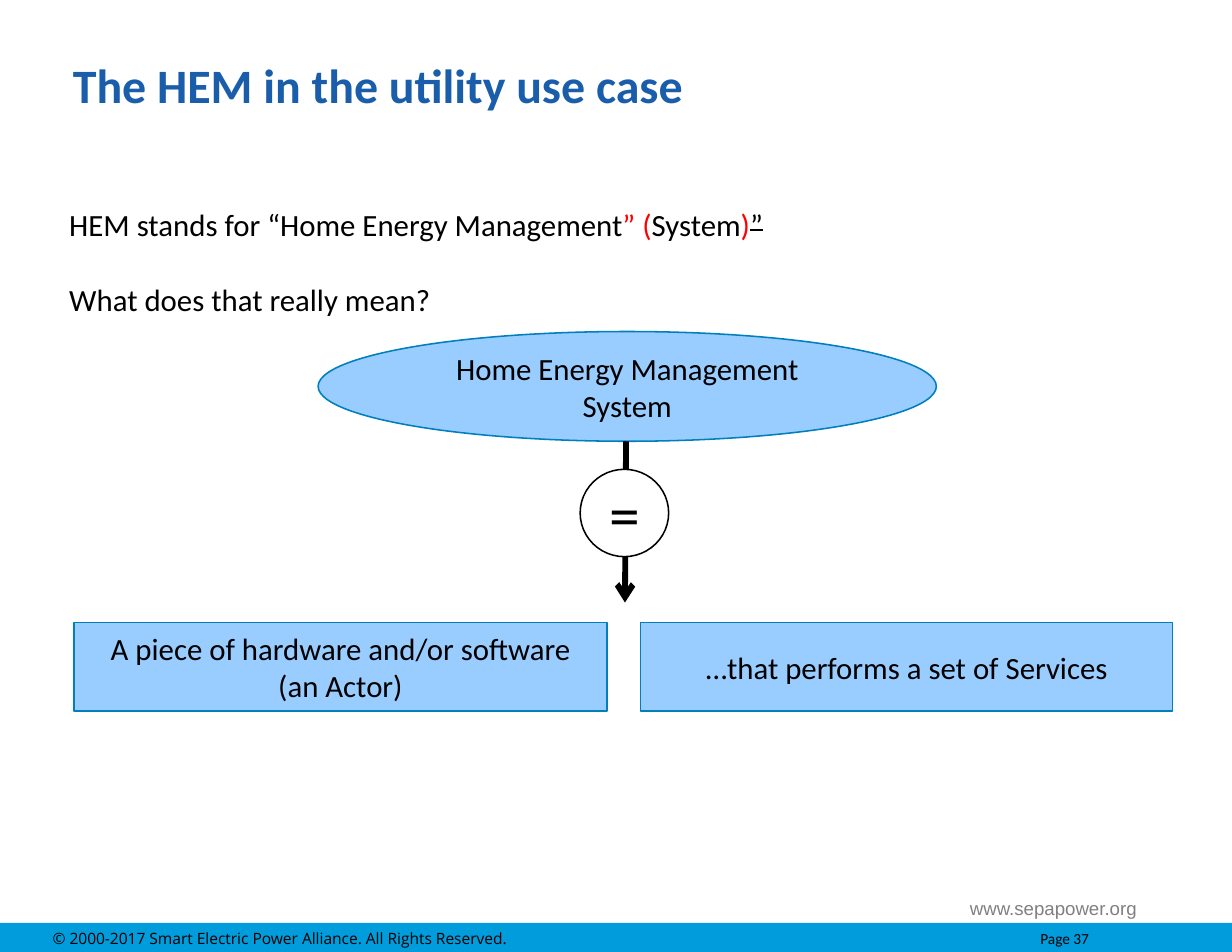
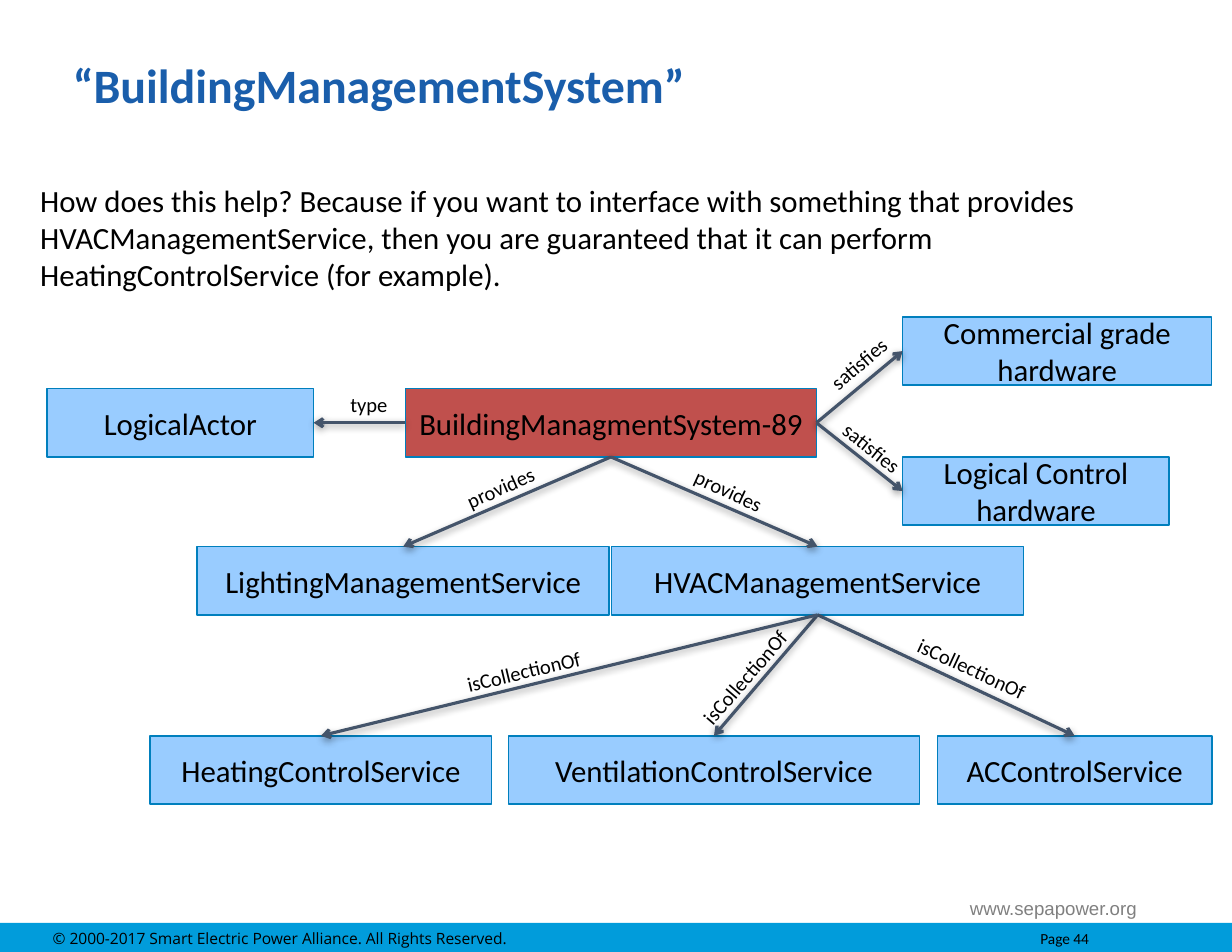
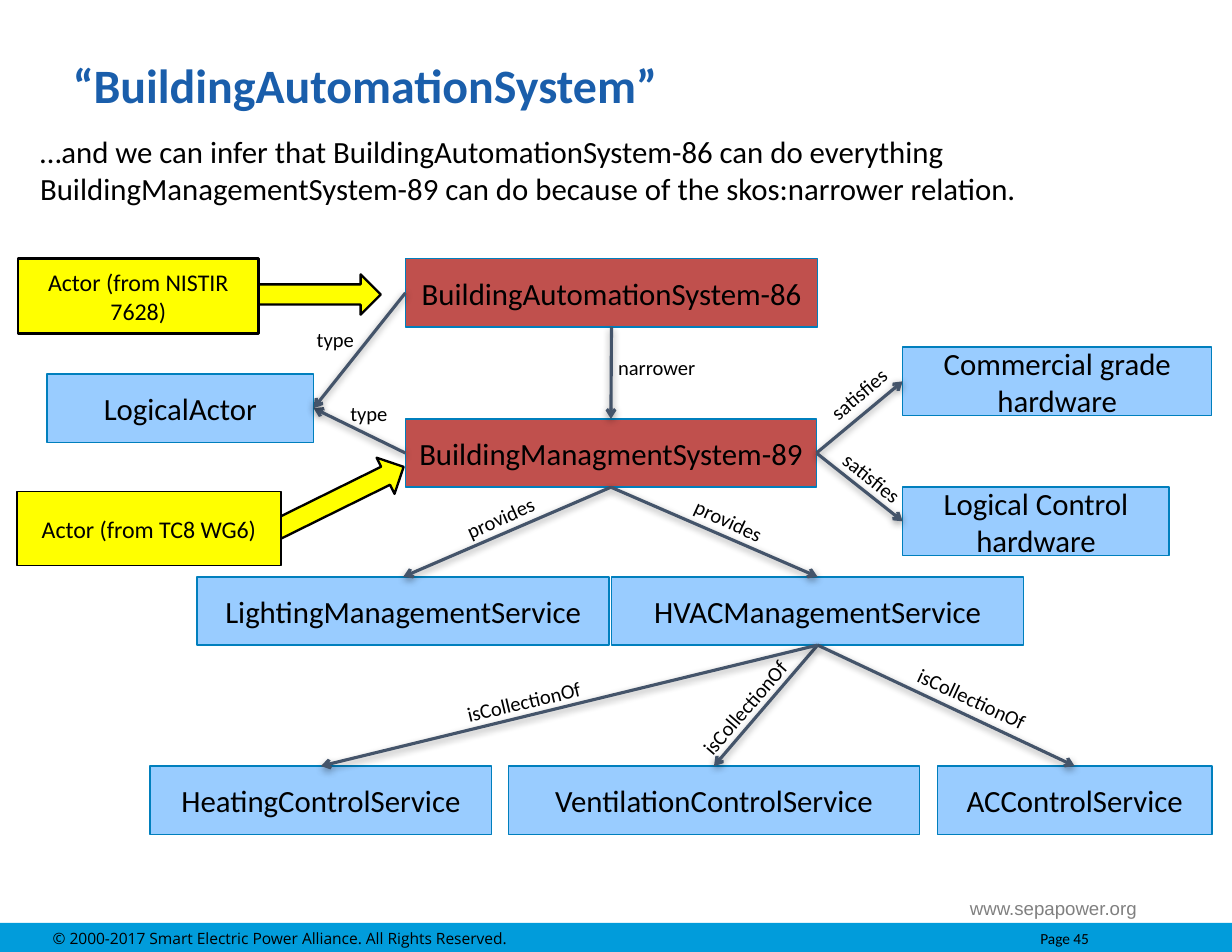
from lxml import etree
from pptx import Presentation
from pptx.dml.color import RGBColor
from pptx.enum.shapes import MSO_CONNECTOR, MSO_SHAPE
from pptx.enum.text import MSO_ANCHOR, MSO_AUTO_SIZE, PP_ALIGN
from pptx.oxml.ns import qn
from pptx.util import Inches, Pt

RECT, OVAL, BLOCK_ARROW = MSO_SHAPE.RECTANGLE, MSO_SHAPE.OVAL, MSO_SHAPE.RIGHT_ARROW
STRAIGHT = MSO_CONNECTOR.STRAIGHT
LEFT, CENTER, RIGHT = PP_ALIGN.LEFT, PP_ALIGN.CENTER, PP_ALIGN.RIGHT
TOP, MIDDLE = MSO_ANCHOR.TOP, MSO_ANCHOR.MIDDLE
NO_AUTOFIT = MSO_AUTO_SIZE.NONE
TOP_SIDE, LEFT_SIDE, BOTTOM_SIDE, RIGHT_SIDE = range(4)

COLORS = {
    "title": "1A5EAB", "text": "000000", "accent": "FF0000", "band": "019CDB",
    "site": "808080", "node": "99CCFF", "system": "C0504D", "outline": "007FBD",
    "relation": "44546A", "callout": "FFFF00", "white": "FFFFFF",
}
BODY_SIZE = 19.8
NODE_HEIGHT = 0.61
COPYRIGHT = "© 2000-2017 Smart Electric Power Alliance. All Rights Reserved."

SYSTEM = "BuildingManagmentSystem-89"
AUTOMATION = "BuildingAutomationSystem-86"
ACTOR = "LogicalActor"
COMMERCIAL = "Commercial grade hardware"
CONTROL = "Logical Control hardware"
LIGHTING = "LightingManagementService"
HVAC = "HVACManagementService"
HEATING = "HeatingControlService"
VENTILATION = "VentilationControlService"
COOLING = "ACControlService"

# name: left, offset below the top of the system node, width
NODES = {
    SYSTEM: (3.62, 0, 3.67),
    COMMERCIAL: (8.06, -0.64, 2.76),
    CONTROL: (8.06, 0.61, 2.38),
    LIGHTING: (1.76, 1.41, 3.68),
    HVAC: (5.46, 1.41, 3.68),
    HEATING: (1.34, 3.1, 3.05),
    VENTILATION: (4.54, 3.1, 3.67),
    COOLING: (8.37, 3.1, 2.45),
}
# subject, side, object, side, label, label left, label offset, label angle
RELATIONS = [
    (SYSTEM, RIGHT_SIDE, COMMERCIAL, LEFT_SIDE, "satisfies", 7.27, -0.39, 319.4),
    (SYSTEM, RIGHT_SIDE, CONTROL, LEFT_SIDE, "satisfies", 7.39, 0.37, 38.9),
    (SYSTEM, BOTTOM_SIDE, LIGHTING, TOP_SIDE, "provides", 4.05, 0.72, 336.1),
    (SYSTEM, BOTTOM_SIDE, HVAC, TOP_SIDE, "provides", 6.09, 0.75, 24.9),
    (HVAC, BOTTOM_SIDE, COOLING, TOP_SIDE, "isCollectionOf", 8.06, 2.34, 24.9),
    (HVAC, BOTTOM_SIDE, VENTILATION, TOP_SIDE, "isCollectionOf", 6.03, 2.41, 310.9),
    (HVAC, BOTTOM_SIDE, HEATING, TOP_SIDE, "isCollectionOf", 4.06, 2.36, 346.5),
]
LABEL_WIDTHS = {"type": 0.54, "satisfies": 0.8, "provides": 0.84,
                "isCollectionOf": 1.25, "narrower": 0.9}


def rgb(name):
    return RGBColor.from_string(COLORS[name])


def inches(box):
    return [Inches(length) for length in box]


def write_text(frame, paragraphs, size=BODY_SIZE, font="Calibri", color="text",
               bold=False, align=LEFT, anchor=TOP, wrap=True, gap=0):
    """Each paragraph is a string or a list of (text, run overrides)."""
    frame.auto_size = NO_AUTOFIT
    frame.word_wrap = wrap
    frame.vertical_anchor = anchor
    for index, content in enumerate(paragraphs):
        paragraph = frame.paragraphs[0] if index == 0 else frame.add_paragraph()
        paragraph.alignment = align
        if index and gap:
            paragraph.space_before = Pt(gap)
        for text, own in [(content, {})] if isinstance(content, str) else content:
            run = paragraph.add_run()
            run.text = text
            run.font.name = own.get("font", font)
            run.font.size = Pt(own.get("size", size))
            run.font.bold = bold
            run.font.color.rgb = rgb(own.get("color", color))
            if own.get("strike"):
                run._r.get_or_add_rPr().set("strike", "sngStrike")


def add_text(slide, box, paragraphs, angle=0, **style):
    text_box = slide.shapes.add_textbox(*inches(box))
    text_box.rotation = angle
    write_text(text_box.text_frame, paragraphs, **style)


def add_node(slide, box, paragraphs=(), kind=RECT, fill="node", outline="outline",
             weight=1, **style):
    node = slide.shapes.add_shape(kind, *inches(box))
    node.shadow.inherit = False
    node.fill.solid()
    node.fill.fore_color.rgb = rgb(fill)
    if outline:
        node.line.color.rgb = rgb(outline)
        node.line.width = Pt(weight)
    else:
        node.line.fill.background()
    write_text(node.text_frame, paragraphs, **{"align": CENTER, "anchor": MIDDLE, **style})
    return node


def add_arrow(slide, start=(0, 0), end=(0, 0), color="relation", weight=2, shadow=True):
    arrow = slide.shapes.add_connector(STRAIGHT, *inches(start + end))
    arrow.line.color.rgb = rgb(color)
    arrow.line.width = Pt(weight)
    etree.SubElement(arrow.line._get_or_add_ln(), qn("a:tailEnd"), type="arrow")
    effects = etree.SubElement(arrow._element.spPr, qn("a:effectLst"))
    if shadow:
        cast = etree.SubElement(effects, qn("a:outerShdw"), blurRad=str(Pt(5)),
                                dist=str(Pt(1.6)), dir="5400000", rotWithShape="0")
        tint = etree.SubElement(cast, qn("a:srgbClr"), val=COLORS["text"])
        etree.SubElement(tint, qn("a:alpha"), val="38000")
    return arrow


def add_relation(slide, nodes, top, relation):
    subject, out_side, target, in_side, label, left, offset, angle = relation
    arrow = add_arrow(slide)
    arrow.begin_connect(nodes[subject], out_side)
    arrow.end_connect(nodes[target], in_side)
    add_text(slide, (left, top + offset, LABEL_WIDTHS[label], 0.32), [label],
             angle=angle, size=13.2, wrap=False)


def add_footer(slide, page):
    add_text(slide, (0.76, 7.88, 9.49, 0.45), ["www.sepapower.org"], size=12,
             font="Arial", color="site", align=RIGHT, anchor=MIDDLE)
    band = add_node(slide, (0, 8.24, 11, 0.27), fill="band", outline=None)
    frame = band.text_frame
    frame.margin_left = Inches(0.47)
    properties = frame.paragraphs[0]._p.get_or_add_pPr()
    tabs = etree.SubElement(properties, qn("a:tabLst"))
    etree.SubElement(tabs, qn("a:tab"), pos=str(Inches(8.82)), algn="l")
    write_text(frame, [[(COPYRIGHT, {"font": "Open Sans", "size": 10}),
                        (f"\tPage {page}", {})]], size=9.9, anchor=MIDDLE)


def start_slide(deck, title, page):
    slide = deck.slides.add_slide(deck.slide_layouts[5])
    heading = slide.shapes.title
    heading.left, heading.top, heading.width, heading.height = inches((0.55, 0.35, 7.82, 0.8))
    write_text(heading.text_frame, [title], size=30.8, color="title", bold=True, anchor=MIDDLE)
    add_footer(slide, page)
    return slide


def add_system_diagram(slide, top, actor_offset, type_offset, automation_offset=None):
    """Place the system node at top and everything else relative to it."""
    places = {**NODES, ACTOR: (0.42, actor_offset, 2.38)}
    relations = [(SYSTEM, LEFT_SIDE, ACTOR, RIGHT_SIDE, "type", 3.03, type_offset, 0), *RELATIONS]
    if automation_offset is not None:
        places[AUTOMATION] = (3.62, automation_offset, 3.68)
        relations += [
            (AUTOMATION, LEFT_SIDE, ACTOR, RIGHT_SIDE, "type", 2.73, automation_offset + 0.56, 0),
            (AUTOMATION, BOTTOM_SIDE, SYSTEM, TOP_SIDE, "narrower", 5.42,
             automation_offset + 0.81, 0),
        ]
    nodes = {
        name: add_node(slide, (left, top + offset, width, NODE_HEIGHT), [name],
                       fill="system" if name in (SYSTEM, AUTOMATION) else "node")
        for name, (left, offset, width) in places.items()
    }
    for relation in relations:
        add_relation(slide, nodes, top, relation)


def add_callout(slide, text, box, arrow_box, angle=0, weight=1.5):
    pointer = add_node(slide, arrow_box, kind=BLOCK_ARROW, fill="callout",
                       outline="text", weight=1.5)
    pointer.rotation = angle
    add_node(slide, box, [text], fill="callout", outline="text", weight=weight, size=15.4)


def build_definition_slide(deck):
    slide = start_slide(deck, "The HEM in the utility use case", 37)
    red = {"color": "accent"}
    add_text(slide, (0.52, 1.79, 6.47, 1.43), [
        [("HEM stands for “Home Energy Management", {}), ("” (", red), ("System", {}),
         (")", red), ("”", {"strike": True})],
        "What does that really mean?",
    ], gap=24.2)
    add_node(slide, (0.66, 5.56, 4.76, 0.79),
             ["A piece of hardware and/or software", "(an Actor)"])
    add_node(slide, (2.84, 2.96, 5.52, 0.98), ["Home Energy Management System"], kind=OVAL)
    add_node(slide, (5.72, 5.56, 4.75, 0.79), ["…that performs a set of Services"])
    add_arrow(slide, (5.59, 3.94), (5.58, 5.38), color="text", weight=3.75, shadow=False)
    add_node(slide, (5.18, 4.19, 0.79, 0.78), ["="], kind=OVAL, fill="white",
             outline="text", size=39.6)


def build_management_slide(deck):
    slide = start_slide(deck, "“BuildingManagementSystem”", 44)
    add_text(slide, (0.26, 1.57, 10.5, 1.43), [
        "How does this help? Because if you want to interface with something that provides "
        "HVACManagementService, then you are guaranteed that it can perform "
        "HeatingControlService (for example)."])
    add_system_diagram(slide, 3.47, actor_offset=0, type_offset=-0.02)


def build_automation_slide(deck):
    slide = start_slide(deck, "“BuildingAutomationSystem”", 45)
    add_text(slide, (0.26, 1.14, 10.5, 1.1), [
        "…and we can infer that BuildingAutomationSystem-86 can do everything "
        "BuildingManagementSystem-89 can do because of the skos:narrower relation."])
    add_callout(slide, "Actor (from TC8 WG6)", (0.15, 4.39, 2.36, 0.66),
                (2.4, 4.27, 1.27, 0.36), angle=333.7, weight=1)
    add_callout(slide, "Actor (from NISTIR 7628)", (0.16, 2.31, 2.15, 0.67),
                (2.24, 2.45, 1.16, 0.36))
    add_system_diagram(slide, 3.74, actor_offset=-0.4, type_offset=-0.21,
                       automation_offset=-1.43)


def main():
    deck = Presentation()
    deck.slide_width, deck.slide_height = Inches(11), Inches(8.5)
    build_definition_slide(deck)
    build_management_slide(deck)
    build_automation_slide(deck)
    deck.save("out.pptx")


if __name__ == "__main__":
    main()
